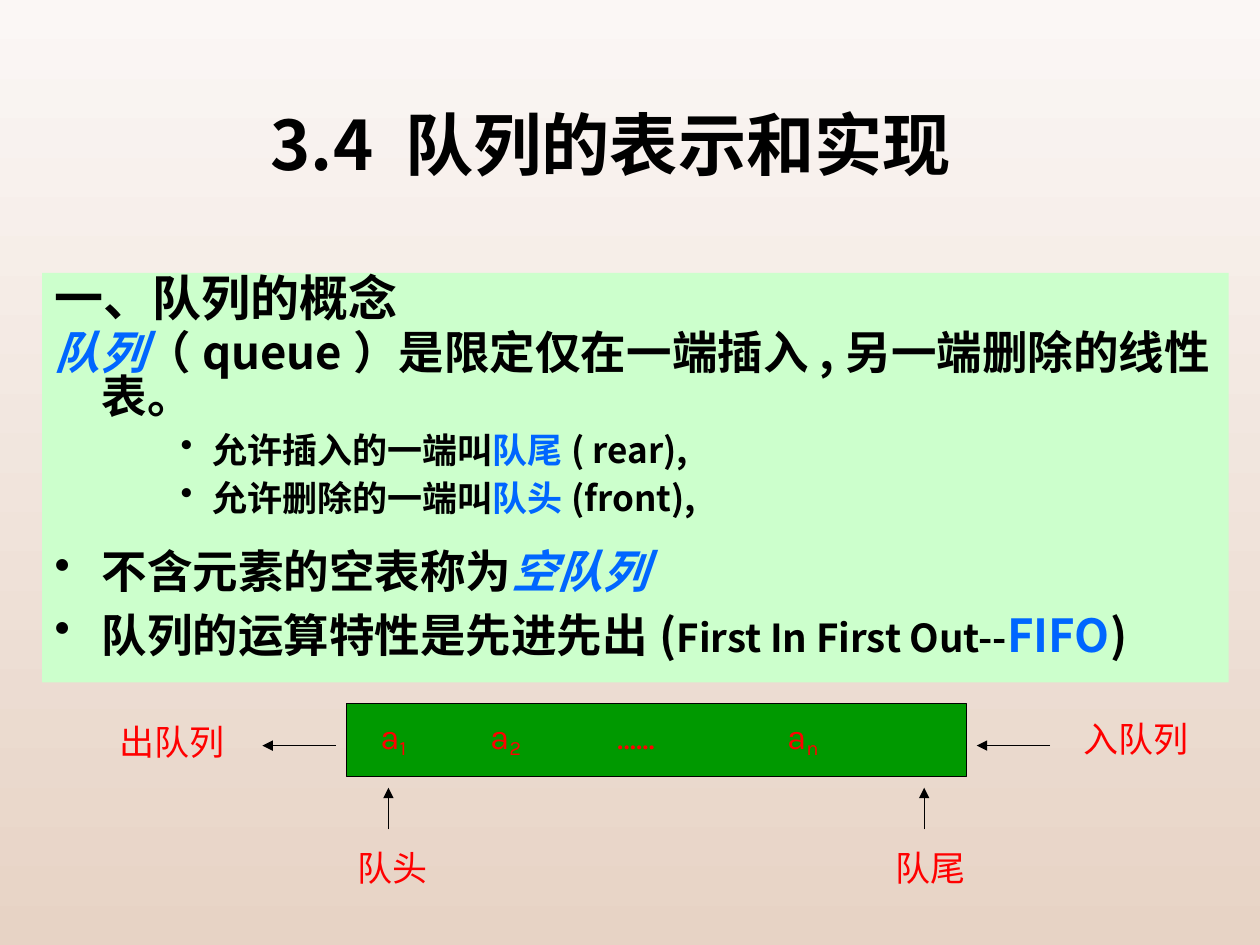
from dataclasses import dataclass
from typing import Optional

import pptx
import pptx.dml.color
import pptx.enum.dml
import pptx.enum.shapes
import pptx.enum.text
import pptx.oxml
import pptx.oxml.ns
import pptx.util

Cm = pptx.util.Cm
Pt = pptx.util.Pt
Align = pptx.enum.text.PP_ALIGN
qn = pptx.oxml.ns.qn


def rgb(code: str) -> pptx.dml.color.RGBColor:
    return pptx.dml.color.RGBColor.from_string(code)


@dataclass(frozen=True)
class Theme:
    top: str = "FBF7F5"
    base: str = "E7D3C5"
    panel: str = "CCFFCC"
    queue: str = "009900"
    ink: str = "000000"
    key: str = "0066FF"
    label: str = "FF0000"
    sans: str = "Noto Sans CJK SC"
    serif: str = "Times New Roman"
    plain: str = "Karla"
    title: float = 39
    head: float = 28
    body: float = 26
    small: float = 22
    sub: float = 20
    line: float = 0.75


THEME = Theme()


@dataclass(frozen=True)
class Run:
    text: str
    color: Optional[str] = None
    italic: bool = False
    size: Optional[float] = None
    low: bool = False


@dataclass(frozen=True)
class Para:
    runs: tuple[Run, ...]
    size: float
    font: str = THEME.sans
    color: str = THEME.ink
    bold: bool = True
    align: Align = Align.LEFT
    level: int = 0
    left: float = 0
    hang: float = 0
    space: float = 1
    before: float = 0
    bullet: bool = False
    tabs: tuple[float, ...] = ()


@dataclass(frozen=True)
class Box:
    left: float
    top: float
    width: float
    height: float


@dataclass(frozen=True)
class Arrow:
    x1: float
    y1: float
    x2: float
    y2: float


def write(part, data: Para) -> None:
    part.alignment = data.align
    part.level = data.level
    part.line_spacing = data.space
    part.space_before = Pt(data.before)
    props = part._p.get_or_add_pPr()
    if data.hang:
        props.set("marL", str(Cm(data.left)))
        props.set("indent", str(-Cm(data.hang)))
    if data.bullet:
        props.append(props.makeelement(qn("a:buChar"), {"char": "•"}))
    if data.tabs:
        stops = props.makeelement(qn("a:tabLst"), {})
        for stop in data.tabs:
            spot = {"pos": str(Cm(stop)), "algn": "l"}
            stops.append(stops.makeelement(qn("a:tab"), spot))
        props.append(stops)
    font = part.font
    font.name, font.size, font.bold = data.font, Pt(data.size), data.bold
    font.color.rgb = rgb(data.color)
    for item in data.runs:
        run = part.add_run()
        run.text = item.text
        if item.color:
            run.font.color.rgb = rgb(item.color)
        if item.italic:
            run.font.italic = True
        if item.size:
            run.font.size = Pt(item.size)
        if item.low:
            run._r.get_or_add_rPr().set("baseline", "-18000")


def add_text(slide, box: Box, paras: list[Para], fill: Optional[str] = None,
             middle: bool = False) -> None:
    shape = slide.shapes.add_textbox(
        Cm(box.left), Cm(box.top), Cm(box.width), Cm(box.height))
    if fill:
        shape.fill.solid()
        shape.fill.fore_color.rgb = rgb(fill)
    frame = shape.text_frame
    frame.word_wrap = True
    if middle:
        frame.vertical_anchor = pptx.enum.text.MSO_ANCHOR.MIDDLE
    for i, data in enumerate(paras):
        write(frame.add_paragraph() if i else frame.paragraphs[0], data)


def add_bar(slide, box: Box) -> None:
    bar = slide.shapes.add_shape(
        pptx.enum.shapes.MSO_SHAPE.RECTANGLE,
        Cm(box.left), Cm(box.top), Cm(box.width), Cm(box.height))
    bar.shadow.inherit = False
    bar.fill.solid()
    bar.fill.fore_color.rgb = rgb(THEME.queue)
    bar.line.color.rgb = rgb(THEME.ink)
    bar.line.width = Pt(THEME.line)


def add_arrow(slide, arrow: Arrow) -> None:
    link = slide.shapes.add_connector(
        pptx.enum.shapes.MSO_CONNECTOR.STRAIGHT,
        Cm(arrow.x1), Cm(arrow.y1), Cm(arrow.x2), Cm(arrow.y2))
    link.line.color.rgb = rgb(THEME.ink)
    link.line.width = Pt(THEME.line)
    edge = link.line._get_or_add_ln()
    edge.append(edge.makeelement(qn("a:tailEnd"), {"type": "triangle"}))
    props = link._element.spPr
    props.append(props.makeelement(qn("a:effectLst"), {}))


def point(*runs: Run, **more) -> Para:
    return Para(runs, THEME.body, left=0.95, hang=0.95, before=5, **more)


def detail(*runs: Run) -> Para:
    return Para(runs, THEME.sub, align=Align.JUSTIFY, level=2, left=3.18,
                hang=0.64, before=3.5, bullet=True)


def label(*runs: Run, tabs: tuple[float, ...] = ()) -> Para:
    return Para(runs, THEME.sub, THEME.plain, THEME.label, False, tabs=tabs)


def main() -> None:
    deck = pptx.Presentation()
    deck.slide_width, deck.slide_height = Cm(25.4), Cm(19.05)
    slide = deck.slides.add_slide(deck.slide_layouts[6])

    # Background
    fill = slide.background.fill
    fill.gradient()
    fill.gradient_angle = 270
    for stop, spot, code in zip(fill.gradient_stops, (0, 1), (THEME.top, THEME.base)):
        stop.position = spot
        stop.color.rgb = rgb(code)

    # Concept panel and title
    key = THEME.key
    add_text(slide, Box(0.85, 5.5, 23.92, 8.26), [
        Para((Run("一、队列的概念"),), THEME.head, THEME.serif,
             left=0.95, hang=0.95, space=0.8),
        point(Run("队列", key, True),
              Run("（queue）是限定仅在一端插入,另一端删除的线性表。"), space=0.8),
        detail(Run("允许插入的一端叫"), Run("队尾", key), Run("( rear),")),
        detail(Run("允许删除的一端叫"), Run("队头", key), Run("(front),")),
        point(Run("不含元素的空表称为"), Run("空队列", key, True),
              align=Align.JUSTIFY, space=1.3, bullet=True),
        point(Run("队列的运算特性是先进先出("),
              Run("First In First Out--", size=THEME.small),
              Run("FIFO", key), Run(")"),
              align=Align.JUSTIFY, bullet=True),
    ], fill=THEME.panel)
    add_text(slide, Box(2.95, 1.93, 18.42, 1.9), [
        Para((Run(" 3.4 队列的表示和实现"),), THEME.title, align=Align.CENTER),
    ], middle=True)

    # Queue with its elements
    add_bar(slide, Box(6.99, 14.18, 12.49, 1.48))
    add_text(slide, Box(7.42, 14.27, 12.07, 1.09), [
        label(Run("a"), Run("1", low=True), Run("\ta"), Run("2", low=True),
              Run("\t…...\ta"), Run("n", low=True), tabs=(2.21, 4.77, 8.2)),
    ])

    # Labels around the queue
    for text, left, top, width in (
        ("出队列", 2.16, 14.4, 2.72),
        ("入队列", 21.59, 14.33, 3.12),
        ("队头", 6.96, 16.94, 2.54),
        ("队尾", 17.81, 16.94, 2.54),
    ):
        add_text(slide, Box(left, top, width, 1.09), [label(Run(text))])

    # Arrows out of, into and up to the queue
    for x in (6.77, 21.17):
        add_arrow(slide, Arrow(x, 15.03, x - 1.48, 15.03))
    for x in (7.83, 18.63):
        add_arrow(slide, Arrow(x, 16.72, x, 15.88))

    deck.save("out.pptx")


if __name__ == "__main__":
    main()
